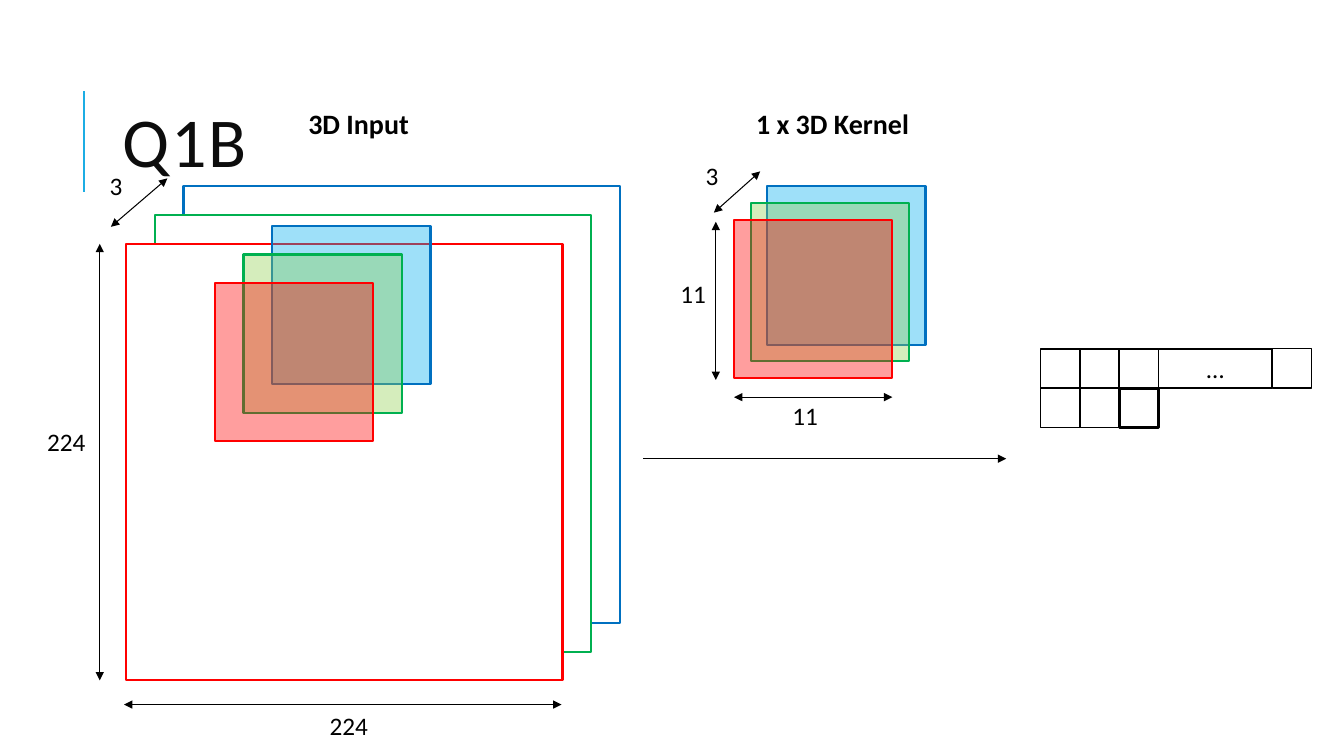
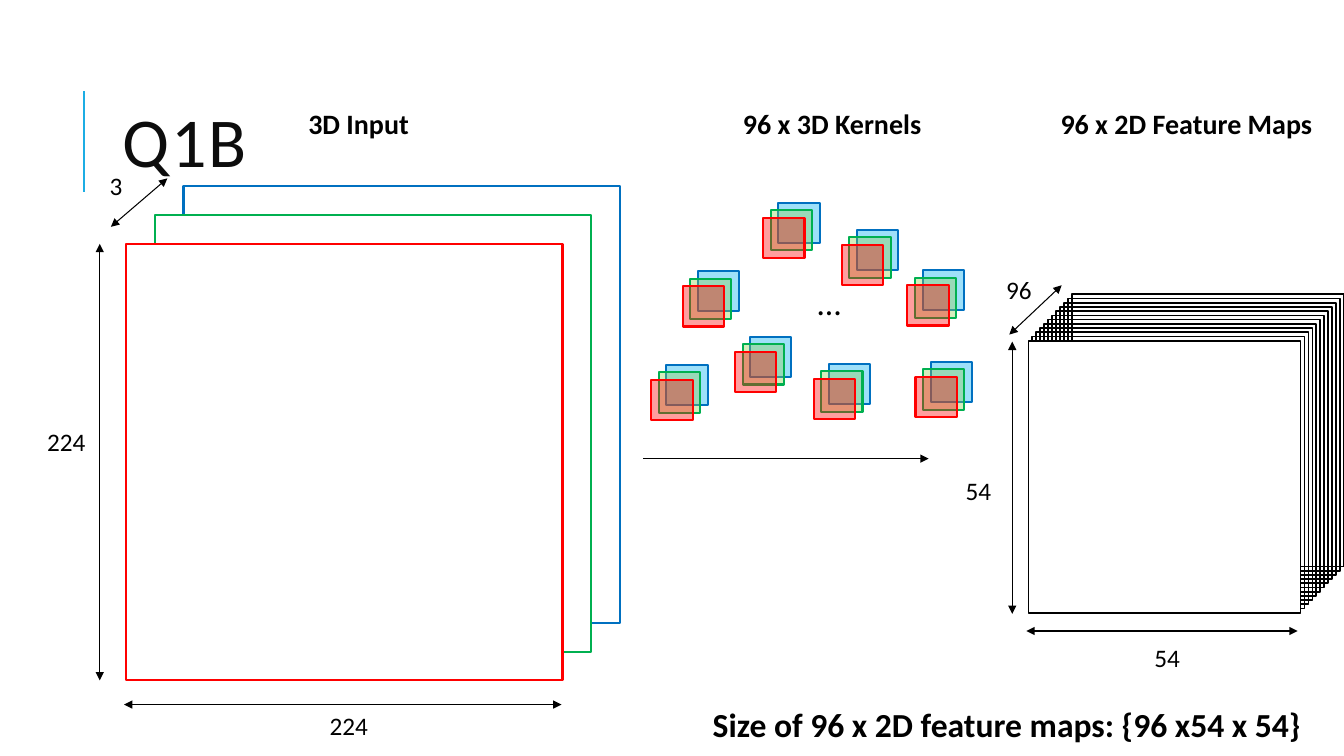
from pptx import Presentation
from pptx.dml.color import RGBColor
from pptx.enum.shapes import MSO_CONNECTOR, MSO_SHAPE
from pptx.enum.text import MSO_ANCHOR, MSO_AUTO_SIZE, PP_ALIGN
from pptx.oxml.ns import qn
from pptx.util import Inches, Pt
from lxml import etree

BLACK = RGBColor(0x00, 0x00, 0x00)
WHITE = RGBColor(0xFF, 0xFF, 0xFF)
TITLE = RGBColor(0x0D, 0x0D, 0x0D)
ACCENT = RGBColor(0x1C, 0xAD, 0xE4)
# Colour channels, back to front: outline and tint
CHANNELS = [
    (RGBColor(0x00, 0x70, 0xC0), RGBColor(0x00, 0xB0, 0xF0)),
    (RGBColor(0x00, 0xB0, 0x50), RGBColor(0x92, 0xD0, 0x50)),
    (RGBColor(0xFF, 0x00, 0x00), RGBColor(0xFF, 0x00, 0x00)),
]
FONT = "Calibri"
TINT_ALPHA = 38
CELL = 0.39


class Deck:
    def __init__(self):
        self.prs = Presentation()
        self.prs.slide_width = Inches(13.33)
        self.prs.slide_height = Inches(7.5)
        self.s = None

    def slide(self, title):
        """Start a slide with the accent bar and the title."""
        self.s = self.prs.slides.add_slide(self.prs.slide_layouts[6])
        self.line(0.83, 1.9, 0.83, 0.9, 1.5, color=ACCENT)
        tf = self.text(title, 1.12, 0.64, 10.63, 1.64, size=50, color=TITLE)
        tf.auto_size = MSO_AUTO_SIZE.NONE
        tf.vertical_anchor = MSO_ANCHOR.MIDDLE
        p = tf.paragraphs[0]
        p.line_spacing = 0.8
        p.runs[0]._r.get_or_add_rPr().set("spc", "100")

    def fill_text(self, tf, text, size, color=BLACK, bold=False):
        tf.word_wrap = True
        tf.text = text
        for r in tf.paragraphs[0].runs:
            r.font.name = FONT
            r.font.size = Pt(size)
            r.font.bold = bold
            r.font.color.rgb = color

    def text(self, text, x, y, w, h=0.4, size=18, color=BLACK, bold=False):
        tf = self.s.shapes.add_textbox(
            Inches(x), Inches(y), Inches(w), Inches(h)).text_frame
        self.fill_text(tf, text, size, color, bold)
        tf.auto_size = MSO_AUTO_SIZE.SHAPE_TO_FIT_TEXT
        return tf

    def heading(self, text, x, w):
        self.text(text, x, 1.01, w, 0.44, size=20, bold=True)

    def rect(self, x, y, w, h, color=BLACK, width=1.25, fill=None, alpha=None):
        sp = self.s.shapes.add_shape(
            MSO_SHAPE.RECTANGLE, Inches(x), Inches(y), Inches(w), Inches(h))
        sp.shadow.inherit = False
        sp.line.color.rgb = color
        sp.line.width = Pt(width)
        if fill is None:
            sp.fill.background()
        else:
            sp.fill.solid()
            sp.fill.fore_color.rgb = fill
        if alpha is not None:
            clr = sp._element.spPr.find(qn("a:solidFill"))[0]
            etree.SubElement(clr, qn("a:alpha")).set("val", str(alpha * 1000))
        return sp

    def stack(self, x, y, w, h, depth, tinted=True):
        """Three channel layers; x, y is the front one, depth the full shift."""
        for i, (outline, tint) in enumerate(CHANNELS):
            shift = depth * (1 - i / 2)
            self.rect(x + shift, y - shift, w, h, outline, 1.5,
                      tint if tinted else WHITE, TINT_ALPHA if tinted else None)

    def line(self, x1, y1, x2, y2, width, color=BLACK, ends=()):
        c = self.s.shapes.add_connector(
            MSO_CONNECTOR.STRAIGHT,
            Inches(x1), Inches(y1), Inches(x2), Inches(y2))
        c.line.color.rgb = color
        c.line.width = Pt(width)
        ln = c._element.spPr.find(qn("a:ln"))
        for end in ends:
            etree.SubElement(ln, qn(f"a:{end}")).set("type", "triangle")
        etree.SubElement(c._element.spPr, qn("a:effectLst"))

    def dimension(self, ends, label, x, y, w):
        """Double-headed arrow with its label."""
        self.line(*ends, 0.75, ends=("headEnd", "tailEnd"))
        self.text(label, x, y, w)

    def flow(self, x_end):
        self.line(6.38, 4.55, x_end, 4.55, 1, ends=("tailEnd",))

    def input_volume(self):
        """3D input with its three dimensions."""
        self.heading("3D Input", 2.96, 1.44)
        self.stack(1.25, 2.42, 4.33, 4.33, 0.57, tinted=False)
        self.dimension((1.66, 1.77, 1.1, 2.25), "3", 0.99, 1.64, 0.4)
        self.dimension((0.99, 2.42, 0.99, 6.75), "224", 0.37, 4.18, 0.95)
        self.dimension((5.57, 6.99, 1.23, 6.99), "224", 3.17, 7, 0.95)


def single_kernel(d):
    d.slide("Q1B")
    d.input_volume()
    d.stack(2.13, 2.81, 1.57, 1.57, 0.57)
    d.flow(9.98)

    # Kernel
    d.heading("1 x 3D Kernel", 7.4, 3.02)
    d.stack(7.28, 2.18, 1.57, 1.57, 0.33)
    d.dimension((7.54, 1.7, 7.08, 2.11), "3", 6.9, 1.54, 0.4)
    d.dimension((7.1, 2.2, 7.1, 3.77), "11", 6.65, 2.71, 0.55)
    d.dimension((8.85, 3.94, 7.28, 3.94), "11", 7.76, 3.92, 0.95)

    # Output cells: width, line width and text, row by row
    rows = [
        [(CELL, 1.25, "")] * 3 + [(1.13, 1.25, "…"), (CELL, 1, "")],
        [(CELL, 1, "")] * 2 + [(CELL, 2.25, "")],
    ]
    for i, row in enumerate(rows):
        x = 10.32
        for w, width, label in row:
            sp = d.rect(x, 3.46 + i * CELL, w, CELL, width=width)
            if label:
                tf = sp.text_frame
                d.fill_text(tf, label, 18)
                tf.vertical_anchor = MSO_ANCHOR.MIDDLE
                tf.paragraphs[0].alignment = PP_ALIGN.CENTER
            x += w


def all_kernels(d):
    d.slide("Q1B")
    d.input_volume()
    d.flow(9.21)

    # Kernels
    d.heading("96 x 3D Kernels", 7.27, 3.02)
    kernels = [(6.46, 3.77), (6.77, 2.84), (7.29, 3.49), (8.07, 3.76),
               (9, 2.83), (9.08, 3.74), (7.57, 2.16), (8.35, 2.43)]
    for x, y in kernels:
        d.stack(x, y, 0.41, 0.4, 0.15)
    d.text("…", 8.01, 2.75, 0.42, 0.5, size=24)

    # Feature maps, back to front
    d.heading("96 x 2D Feature Maps", 10.42, 3.82)
    last = 11
    for i in range(last, -1, -1):
        d.rect(10.2 + 0.43 * i / last, 3.38 - 0.46 * i / last, 2.7, 2.7,
               fill=None if i else WHITE)
    d.dimension((10.53, 2.83, 10.01, 3.32), "96", 9.88, 2.67, 0.52)
    d.dimension((10.04, 3.39, 10.04, 6.09), "54", 9.48, 4.67, 0.55)
    d.dimension((12.87, 6.26, 10.18, 6.26), "54", 11.35, 6.32, 0.59)
    d.text("Size of 96 x 2D feature maps: {96 x54 x 54}",
           6.97, 6.93, 7.12, 0.5, size=24, bold=True)


def main():
    d = Deck()
    single_kernel(d)
    all_kernels(d)
    d.prs.save("out.pptx")


if __name__ == "__main__":
    main()
